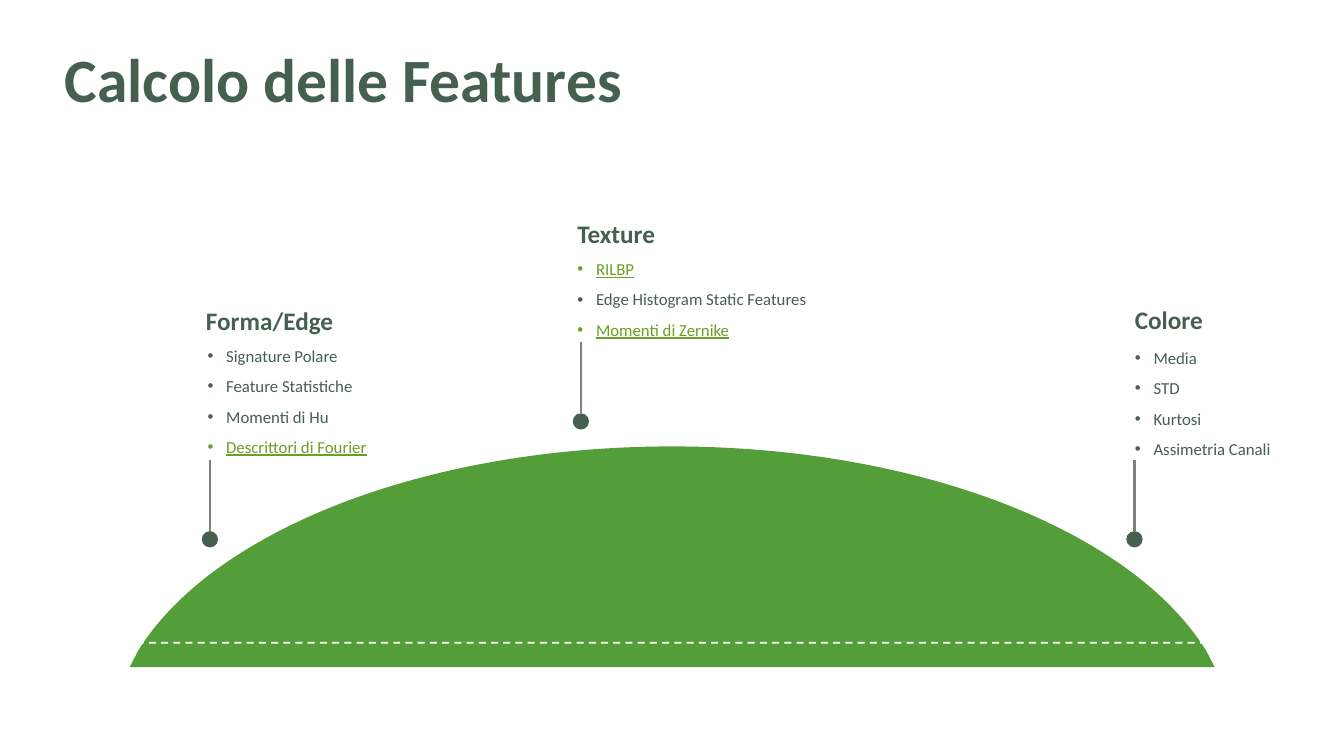
from lxml.etree import SubElement
from pptx import Presentation
from pptx.dml.color import RGBColor
from pptx.enum.dml import MSO_LINE
from pptx.enum.shapes import MSO_CONNECTOR, MSO_SHAPE
from pptx.enum.text import MSO_ANCHOR, MSO_AUTO_SIZE, PP_ALIGN
from pptx.oxml.ns import qn
from pptx.util import Cm, Pt

THEME = {
    "font": "Calibri",
    "dark": RGBColor.from_string("455F51"),
    "hill": RGBColor.from_string("549E39"),
    "link": RGBColor.from_string("6B9F25"),
    "stem": RGBColor.from_string("808080"),
    "white": RGBColor.from_string("FFFFFF"),
    "title_size": Pt(44),
    "heading_size": Pt(18),
    "list_size": Pt(12),
}


def write_run(paragraph, text, color, **font_format):
    run = paragraph.add_run()
    run.text = text
    run.font.color.rgb = THEME[color]
    for name, value in {"name": THEME["font"], **font_format}.items():
        setattr(run.font, name, value)


def set_frame(shape, box, anchor, margin):
    for name, value in zip(("left", "top", "width", "height"), box):
        setattr(shape, name, Cm(value))
    frame_format = {"word_wrap": True, "auto_size": MSO_AUTO_SIZE.NONE,
                    "vertical_anchor": anchor}
    for side in ("left", "top", "right", "bottom"):
        frame_format[f"margin_{side}"] = Cm(margin)
    for name, value in frame_format.items():
        setattr(shape.text_frame, name, value)
    return shape.text_frame


presentation = Presentation()
presentation.slide_width, presentation.slide_height = Cm(33.87), Cm(19.05)
slide = presentation.slides.add_slide(presentation.slide_layouts[4])
title, *bodies = slide.placeholders

# Title
frame = set_frame(title, (1.38, 1.07, 30, 2.01), MSO_ANCHOR.MIDDLE, 0.25)
paragraph = frame.paragraphs[0]
paragraph.alignment, paragraph.line_spacing = PP_ALIGN.LEFT, 0.9
write_run(paragraph, "Calcolo delle Features", "dark",
          size=THEME["title_size"], bold=True)

# Hill and its dashed outline: half widths, mirrored about the centre
CENTER = 16.94
half_arc = [(0, 0), (0.46, 0), (0.85, 2.16), (0.985, 5.16), (1, 5.56)]
arc = half_arc + [(-x, y) for x, y in reversed(half_arc)]

hills = []
for half_width, top in ((13.67, 11.25), (14.05, 10.64)):
    points = [(Cm(CENTER + half_width * x), Cm(top + y)) for x, y in arc]
    builder = slide.shapes.build_freeform(*points[0])
    builder.add_line_segments(points[1:], close=True)
    hill = builder.convert_to_shape()
    hill.shadow.inherit = False
    # The first and last three segments hold the points of a Bézier curve
    segments = list(hill._element.iter(qn("a:lnTo")))
    for curve_segments in (segments[:3], segments[-3:]):
        curve = curve_segments[0]
        bezier = curve.makeelement(qn("a:cubicBezTo"))
        curve.addprevious(bezier)
        for segment in curve_segments:
            bezier.append(segment[0])
            segment.getparent().remove(segment)
    hills.append(hill)
green_hill, outline = hills
green_hill.fill.solid()
green_hill.fill.fore_color.rgb = THEME["hill"]
green_hill.line.fill.background()
outline.fill.background()
outline.line.color.rgb = THEME["white"]
outline.line.width = Pt(1.25)
outline.line.dash_style = MSO_LINE.DASH

# Feature groups: heading, list box, pin centre, items (text, linked)
groups = [
    ("Forma/Edge", (5.19, 7.43, 4.57, 1.02), (5.23, 8.46, 4.57, 3.35), (5.29, 13.59),
     [("Signature Polare", False), ("Feature Statistiche", False),
      ("Momenti di Hu", False), ("Descrittori di Fourier", True)]),
    ("Texture", (14.55, 5.24, 6.27, 1.02), (14.55, 6.27, 7.24, 2.51), (14.64, 10.62),
     [("RILBP", True), ("Edge Histogram Static Features", False),
      ("Momenti di Zernike", True)]),
    ("Colore", (28.6, 7.42, 3.89, 1.02), (28.6, 8.51, 3.89, 3.1), (28.59, 13.59),
     [("Media", False), ("STD", False), ("Kurtosi", False),
      ("Assimetria Canali", False)]),
]
STEM_LENGTH, INDENT = 1.8, Cm(0.47)

for body, (heading, heading_box, list_box, pin, items) in zip(bodies, groups):
    # Heading
    heading_shape = slide.shapes.add_textbox(*map(Cm, heading_box))
    frame = set_frame(heading_shape, heading_box, MSO_ANCHOR.BOTTOM, 0)
    write_run(frame.paragraphs[0], heading, "dark",
              size=THEME["heading_size"], bold=True)

    # Bulleted list
    frame = set_frame(body, list_box, MSO_ANCHOR.TOP, 0)
    for index, (text, linked) in enumerate(items):
        paragraph = frame.add_paragraph() if index else frame.paragraphs[0]
        properties = paragraph._p.get_or_add_pPr()
        properties.set("marL", str(INDENT))
        properties.set("indent", str(-INDENT))
        SubElement(properties, qn("a:buFont")).set("typeface", "Arial")
        SubElement(properties, qn("a:buChar")).set("char", "•")
        paragraph.line_spacing, paragraph.space_before = 1.5, Pt(0)
        write_run(paragraph, text, "link" if linked else "dark",
                  size=THEME["list_size"], bold=False, underline=linked)

    # Pin: two concentric dots and a stem
    center_x, center_y = pin
    dots = []
    for diameter in (0.41, 0.25):
        dot = slide.shapes.add_shape(
            MSO_SHAPE.OVAL, Cm(center_x - diameter / 2),
            Cm(center_y - diameter / 2), Cm(diameter), Cm(diameter))
        dot.shadow.inherit = False
        dot.fill.solid()
        dot.fill.fore_color.rgb = THEME["dark"]
        dot.line.fill.background()
        dots.append(dot)
    stem_bottom = dots[0].top
    stem = slide.shapes.add_connector(
        MSO_CONNECTOR.STRAIGHT, Cm(center_x), stem_bottom,
        Cm(center_x), stem_bottom - Cm(STEM_LENGTH))
    stem.begin_connect(dots[0], 0)
    stem.line.color.rgb = THEME["stem"]
    stem.line.width = Pt(1.5)
    SubElement(stem._element.spPr, qn("a:effectLst"))

# Remove the unused body placeholder
for body in bodies[len(groups):]:
    body._element.getparent().remove(body._element)

presentation.save("out.pptx")
